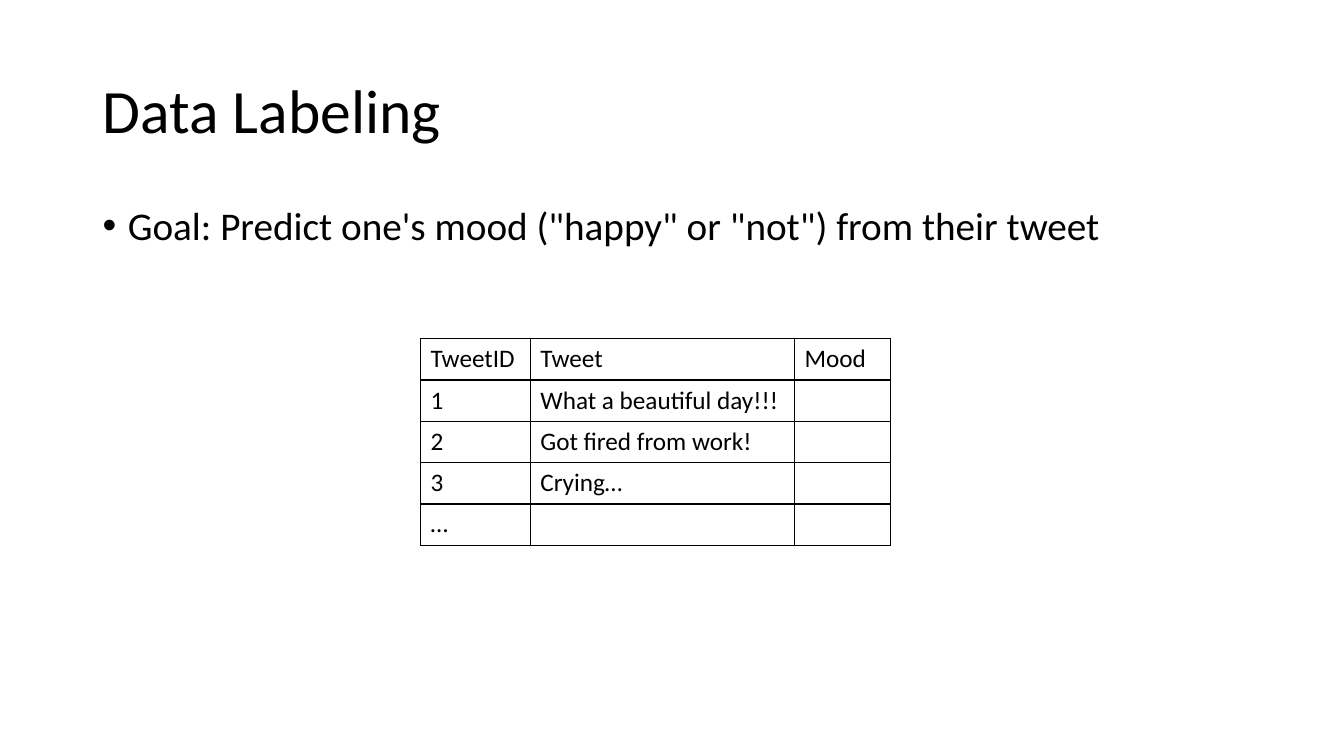
from pptx import Presentation
from pptx.dml.color import RGBColor
from pptx.enum.text import MSO_ANCHOR as Anchor
from pptx.oxml import parse_xml
from pptx.oxml.ns import nsdecls
from pptx.util import Inches, Pt

COLORS = {"ink": "000000", "paper": "FFFFFF"}


class SlideBuilder:
    font_name = "Calibri"

    def __init__(self, deck):
        self.slide = deck.slides.add_slide(deck.slide_layouts[6])

    def style(self, paragraph, size):
        paragraph.font.name = self.font_name
        paragraph.font.size = Pt(size)
        paragraph.font.color.rgb = RGBColor.from_string(COLORS["ink"])

    def text(self, wording, left, top, width, height, size, anchor=Anchor.TOP):
        box = self.slide.shapes.add_textbox(
            Inches(left), Inches(top), Inches(width), Inches(height))
        frame = box.text_frame
        frame.word_wrap = True
        frame.vertical_anchor = anchor
        paragraph = frame.paragraphs[0]
        paragraph.text = wording
        paragraph.line_spacing = 0.9
        self.style(paragraph, size)
        return paragraph

    def bullet(self, wording, left, top, width, height, size):
        paragraph = self.text(wording, left, top, width, height, size)
        paragraph.space_before = Pt(10)
        properties = paragraph._p.get_or_add_pPr()
        properties.set("marL", str(Inches(0.25)))
        properties.set("indent", str(-Inches(0.25)))
        marks = (f'<a:buFont {nsdecls("a")} typeface="Arial"/>',
                 f'<a:buChar {nsdecls("a")} char="•"/>')
        for mark in marks:
            properties.insert_element_before(
                parse_xml(mark), "a:tabLst", "a:defRPr", "a:extLst")

    def border(self, cell):
        properties = cell._tc.get_or_add_tcPr()
        for position, side in enumerate(("lnL", "lnR", "lnT", "lnB")):
            properties.insert(position, parse_xml(
                f'<a:{side} {nsdecls("a")} w="{Pt(1)}"><a:solidFill>'
                f'<a:srgbClr val="{COLORS["ink"]}"/></a:solidFill></a:{side}>'))

    def table(self, rows, left, top, widths, row_height, size):
        table = self.slide.shapes.add_table(
            len(rows), len(widths), Inches(left), Inches(top),
            Inches(sum(widths)), Inches(row_height * len(rows))).table
        table.first_row = False
        table.horz_banding = False
        for column, width in zip(table.columns, widths):
            column.width = Inches(width)
        for row, wordings in zip(table.rows, rows):
            row.height = Inches(row_height)
            for cell, wording in zip(row.cells, wordings):
                cell.text = wording
                cell.fill.solid()
                cell.fill.fore_color.rgb = RGBColor.from_string(COLORS["paper"])
                self.style(cell.text_frame.paragraphs[0], size)
                self.border(cell)


deck = Presentation()
deck.slide_width, deck.slide_height = Inches(13.33), Inches(7.5)
labeling = SlideBuilder(deck)
labeling.text("Data Labeling", 0.92, 0.4, 11.5, 1.45, 44, Anchor.MIDDLE)
labeling.bullet('Goal: Predict one\'s mood ("happy" or "not") from their tweet',
                0.92, 2, 11.5, 4.76, 28)
tweets = [
    ("TweetID", "Tweet", "Mood"),
    ("1", "What a beautiful day!!!", ""),
    ("2", "Got fired from work!", ""),
    ("3", "Crying…", ""),
    ("…", "", ""),
]
labeling.table(tweets, 4.17, 3.36, (1.09, 2.62, 0.95), 0.41, 18)
deck.save("out.pptx")
